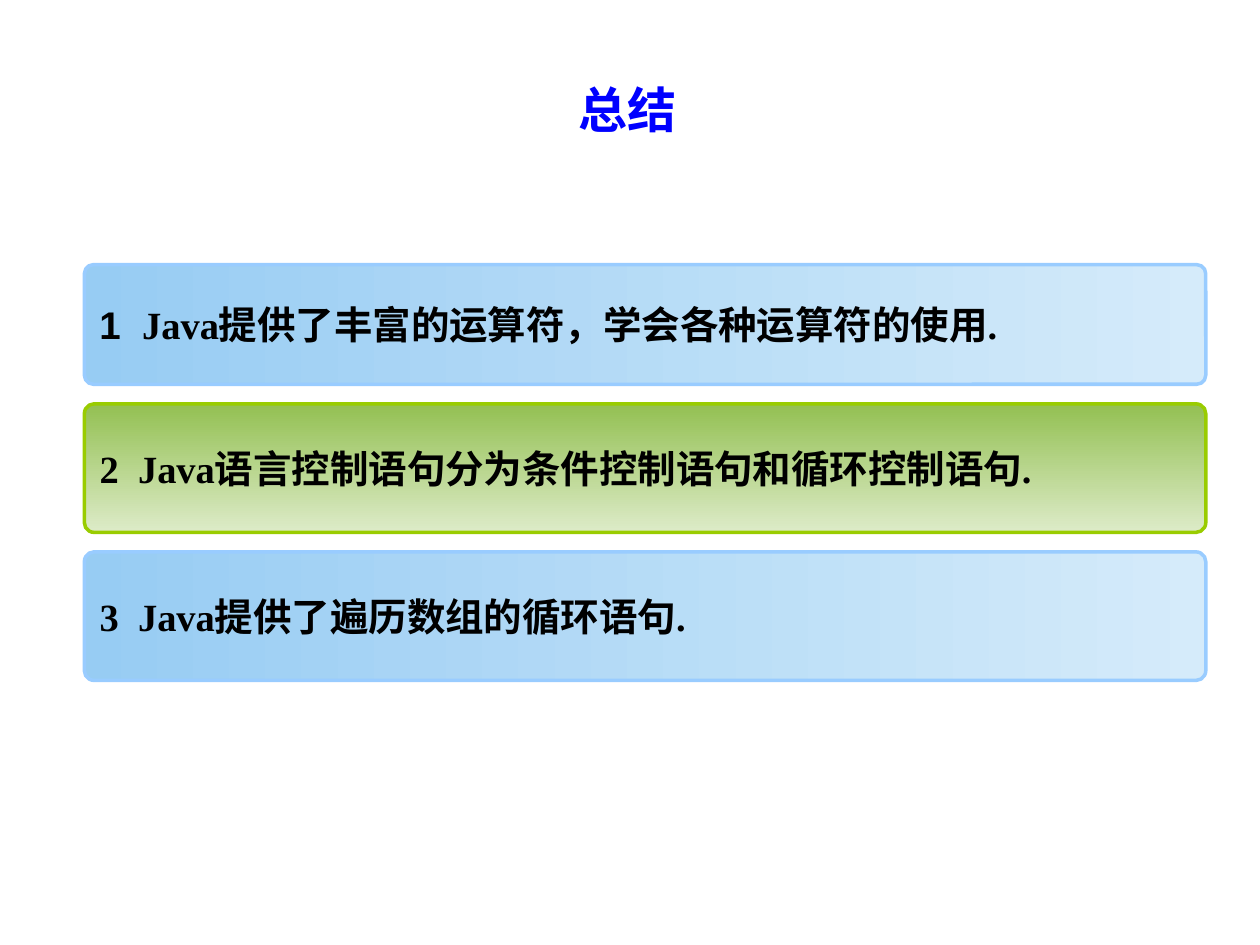
from pptx import Presentation
from pptx.dml.color import RGBColor
from pptx.enum.shapes import MSO_SHAPE
from pptx.enum.text import MSO_ANCHOR, PP_ALIGN
from pptx.util import Inches, Pt

HUES = {
    "title": "0000FF", "text": "000000",
    "blue": ("97CCF3", "D5EBFA", "99CCFF"),
    "green": ("93C052", "DDEBC8", "99CC00"),
}
SERIF = "Times New Roman"


def style(obj, vals):
    for key, val in vals.items():
        setattr(obj, key, val)


def write(para, text, face, size, hue):
    run = para.add_run()
    run.text = text
    style(run.font, {"name": face, "size": Pt(size), "bold": True})
    run.font.color.rgb = RGBColor.from_string(hue)


deck = Presentation()
wide, high = Inches(10), Inches(7.5)
style(deck, {"slide_width": wide, "slide_height": high})
slide = deck.slides.add_slide(deck.slide_layouts[5])

title = slide.shapes.title
style(title, {"left": int(wide * 0.169), "top": int(high * 0.08),
              "width": int(wide * 0.658), "height": int(high * 0.07)})
title.text_frame.vertical_anchor = MSO_ANCHOR.MIDDLE
head = title.text_frame.paragraphs[0]
head.alignment = PP_ALIGN.CENTER
write(head, "总结", SERIF, 28, HUES["title"])

bars = [
    (0.95, "blue", 0, [("1  ", "Arial"),
                       ("Java提供了丰富的运算符，学会各种运算符的使用.", SERIF)]),
    (1.02, "green", 270, [("2  Java语言控制语句分为条件控制语句和循环控制语句.", SERIF)]),
    (1.02, "blue", 0, [("3  Java提供了遍历数组的循环语句.", SERIF)]),
]
top, gap = high * 0.28, Inches(0.155)
for tall, tone, turn, parts in bars:
    bar = slide.shapes.add_shape(
        MSO_SHAPE.ROUNDED_RECTANGLE, int(wide * 0.067), int(top),
        int(wide * 0.89), Inches(tall))
    bar.adjustments[0] = 0.076
    bar.shadow.inherit = False
    start, end, edge = [RGBColor.from_string(hue) for hue in HUES[tone]]
    bar.fill.gradient()
    bar.fill.gradient_angle = turn
    for stop, hue, spot in zip(bar.fill.gradient_stops, (start, end), (0, 1)):
        stop.color.rgb = hue
        stop.position = spot
    bar.line.color.rgb = edge
    bar.line.width = Pt(2)
    frame = bar.text_frame
    style(frame, {"word_wrap": False, "vertical_anchor": MSO_ANCHOR.MIDDLE})
    para = frame.paragraphs[0]
    para.alignment = PP_ALIGN.LEFT
    for text, face in parts:
        write(para, text, face, 22, HUES["text"])
    top += Inches(tall) + gap

deck.save("out.pptx")
